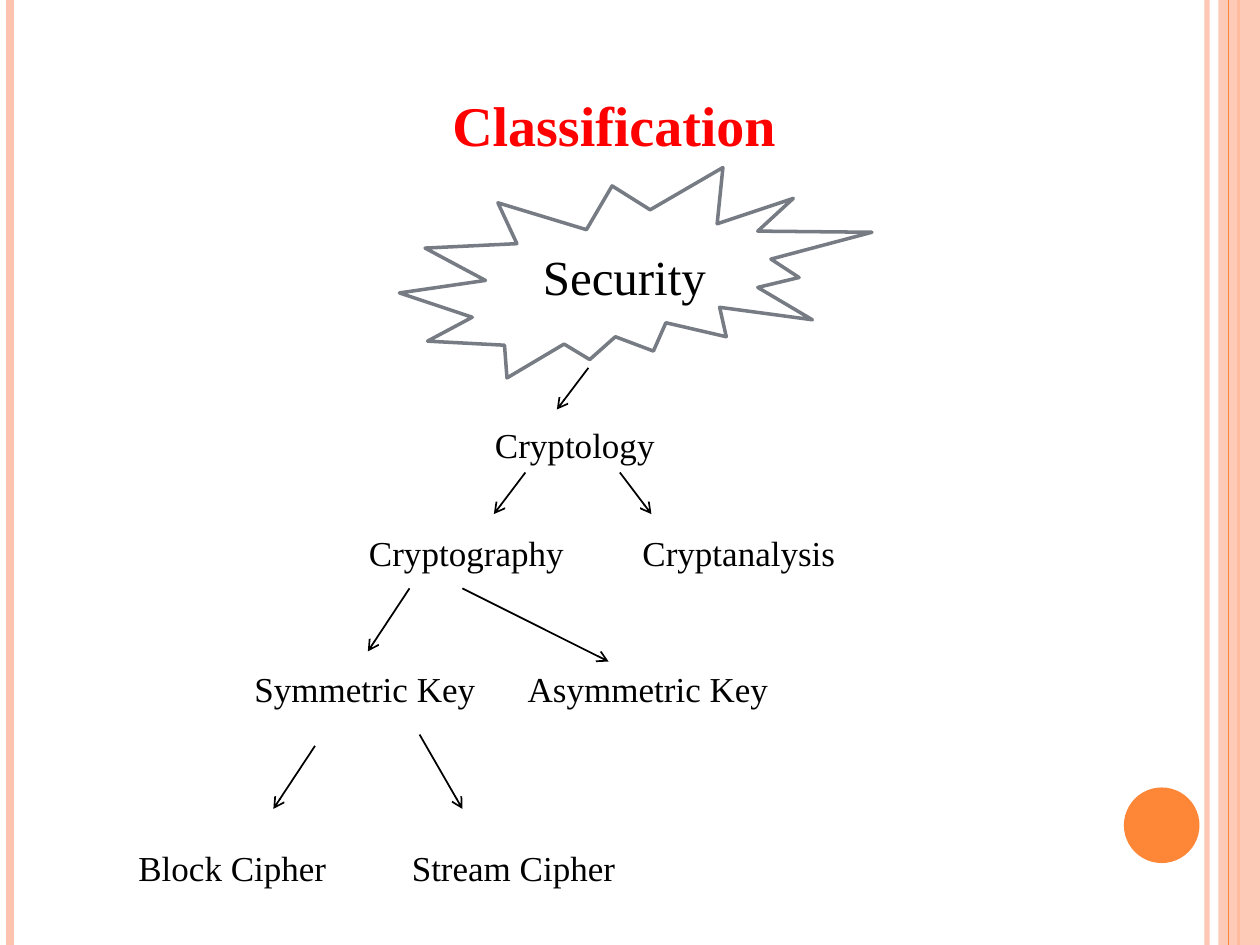
from pptx import Presentation
from pptx.dml.color import RGBColor
from pptx.enum.shapes import MSO_CONNECTOR, MSO_SHAPE
from pptx.enum.text import MSO_ANCHOR, MSO_AUTO_SIZE, PP_ALIGN
from pptx.oxml.ns import qn
from pptx.util import Inches, Pt
from lxml.etree import SubElement

HEX = {"white": "FFFFFF", "black": "000000", "red": "FF0000",
       "peach": "FEC3AE", "orange": "FE8637", "gray": "777C84"}
FACE = "Times New Roman"
WIDE, HIGH = 10, 7.5
TAB = 2.17

RULES = [(9.58, "peach", 3, 93), (0.08, "peach", 4.5, 100), (9.83, "orange", 1.5, 100)]
BAND = (9.67, 0, 0.33, HIGH)
EDGE = (9.75, "orange", 0.75, 100)
DOT = (8.92, 6.25, 0.6, 0.6)
TITLE = ("Classification", (1, 0.67, 7.75, 0.64))
ROOT = (" Security", (3.17, 1.33, 3.75, 1.67))
LEVELS = [
    (["Cryptology"], (3.83, 3.31, 4.33, 0.44)),
    (["Cryptography", "Cryptanalysis"], (2.83, 4.17, 5.58, 0.44)),
    (["Symmetric Key", "Asymmetric Key"], (1.92, 5.25, 5.83, 0.44)),
    (["Block Cipher", "Stream Cipher"], (1, 6.67, 5.67, 0.44)),
]
ARROWS = [
    (4.17, 3.75, 3.92, 4.08), (2.5, 5.92, 2.17, 6.42), (3.67, 4.67, 4.83, 5.25),
    (3.25, 4.67, 2.92, 5.17), (3.33, 5.83, 3.67, 6.42), (4.92, 3.75, 5.17, 4.08),
    (4.67, 2.92, 4.42, 3.25),
]


def tint(name):
    return RGBColor.from_string(HEX[name])


def place(box):
    return [Inches(v) for v in box]


def fade(item, pct):
    if pct < 100:
        for node in item._element.iter(qn("a:srgbClr")):
            SubElement(node, qn("a:alpha"), val=str(pct * 1000))


def draw_line(slide, ends, color, width, pct=100, arrow=False):
    line = slide.shapes.add_connector(MSO_CONNECTOR.STRAIGHT, *place(ends))
    line.line.color.rgb = tint(color)
    line.line.width = Pt(width)
    fade(line, pct)
    if arrow:
        SubElement(line.line._get_or_add_ln(), qn("a:tailEnd"), type="arrow")
    SubElement(line._element.spPr, qn("a:effectLst"))


def draw_rule(slide, rule):
    x, color, width, pct = rule
    draw_line(slide, (x, 0, x, HIGH), color, width, pct)


def draw_shape(slide, kind, box, color, pct=100):
    shape = slide.shapes.add_shape(kind, *place(box))
    shape.shadow.inherit = False
    shape.fill.solid()
    shape.fill.fore_color.rgb = tint(color)
    fade(shape, pct)
    shape.line.fill.background()
    return shape


def write(shape, text, size, color="black", bold=False, align=PP_ALIGN.LEFT):
    para = shape.text_frame.paragraphs[0]
    para.alignment = align
    run = para.add_run()
    run.text = text
    look = {"name": FACE, "size": Pt(size), "bold": bold}
    for key, value in look.items():
        setattr(run.font, key, value)
    run.font.color.rgb = tint(color)
    return para


def add_box(slide, box):
    shape = slide.shapes.add_textbox(*place(box))
    shape.text_frame.word_wrap = True
    shape.text_frame.auto_size = MSO_AUTO_SIZE.SHAPE_TO_FIT_TEXT
    return shape


def main():
    deck = Presentation()
    deck.slide_width, deck.slide_height = Inches(WIDE), Inches(HIGH)
    slide = deck.slides.add_slide(deck.slide_layouts[6])
    slide.background.fill.solid()
    slide.background.fill.fore_color.rgb = tint("white")

    for rule in RULES:
        draw_rule(slide, rule)
    draw_shape(slide, MSO_SHAPE.RECTANGLE, BAND, "peach", 87)
    draw_rule(slide, EDGE)
    draw_shape(slide, MSO_SHAPE.OVAL, DOT, "orange")

    text, box = TITLE
    write(add_box(slide, box), text, 32, "red", True, PP_ALIGN.CENTER)

    text, box = ROOT
    burst = draw_shape(slide, MSO_SHAPE.EXPLOSION2, box, "white")
    burst.line.color.rgb = tint("gray")
    burst.line.width = Pt(2)
    burst.text_frame.vertical_anchor = MSO_ANCHOR.MIDDLE
    write(burst, text, 28, align=PP_ALIGN.CENTER)

    for names, box in LEVELS:
        para = write(add_box(slide, box), "\t".join(names), 20)
        if len(names) > 1:
            tabs = SubElement(para._p.get_or_add_pPr(), qn("a:tabLst"))
            SubElement(tabs, qn("a:tab"), pos=str(Inches(TAB)), algn="l")

    for ends in ARROWS:
        draw_line(slide, ends, "black", 1, arrow=True)

    deck.save("out.pptx")


if __name__ == "__main__":
    main()
